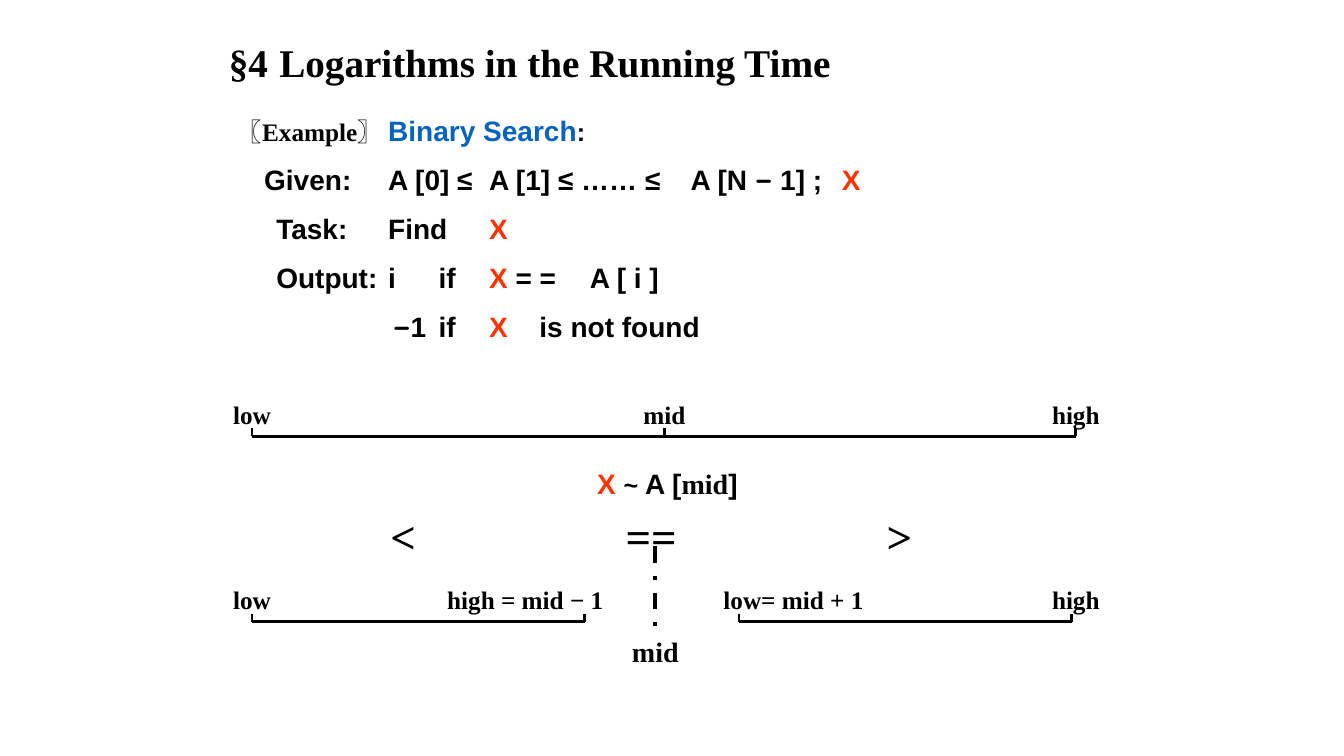
from lxml.etree import SubElement
from pptx import Presentation
from pptx.dml.color import RGBColor
from pptx.enum.dml import MSO_LINE
from pptx.enum.shapes import MSO_CONNECTOR
from pptx.enum.text import MSO_ANCHOR, MSO_AUTO_SIZE, PP_ALIGN
from pptx.oxml.ns import qn
from pptx.util import Inches, Pt

SERIF, SANS, SYMBOL = "Times New Roman", "Arial", "Quicksand"
BLACK, RED, BLUE = "000000", "FF3300", "0563C1"
X = ("X", {"color": RED})
MINUS = ("−", {"name": SYMBOL})

# Each line: first-line indent, tab stops (inches from the text edge), runs
EXAMPLE_LINES = [
    (0, [1.68], [("〖Example〗", {"name": SERIF, "size": 18}),
                 ("\tBinary Search", {"color": BLUE}), (":", {"size": 18})]),
    (0.27, [1.44, 2.42, 4.27, 5.73],
     [("Given:\tA [0] ≤\tA [1] ≤ …… ≤\tA [N ", {}), MINUS, (" 1] ;\t", {}), X]),
    (0.39, [1.55, 2.3], [("Task:\tFind\t", {}), X]),
    (0.39, [1.62, 2.16, 2.49, 3.3],
     [("Output:\ti\tif\t", {}), X, (" = =\tA [ i ]", {})]),
    (1.55, [2.18, 2.51, 2.85],
     [MINUS, ("1\tif\t", {}), X, ("\tis not found", {})]),
]


def rgb(color):
    return RGBColor.from_string(color)


def style_font(font, name=None, size=None, color=None):
    if name:
        font.name = name
    if size:
        font.size = Pt(size)
    if color:
        font.color.rgb = rgb(color)


def place(shape, left, top, width, height):
    shape.left, shape.top = Inches(left), Inches(top)
    shape.width, shape.height = Inches(width), Inches(height)


def set_indent_and_tabs(paragraph, indent, stops):
    """Remove the bullet, indent the first line and add left tab stops."""
    properties = paragraph._p.get_or_add_pPr()
    properties.set("marL", "0")
    properties.set("indent", str(Inches(indent)))
    SubElement(properties, qn("a:buNone"))
    tab_list = SubElement(properties, qn("a:tabLst"))
    for stop in stops:
        SubElement(tab_list, qn("a:tab"), pos=str(Inches(stop)), algn="l")


def write_runs(paragraph, runs, name, size):
    """Style the paragraph, then add (text, font changes) runs."""
    paragraph.font.bold = True
    style_font(paragraph.font, name, size, BLACK)
    for text, changes in runs:
        run = paragraph.add_run()
        run.text = text
        style_font(run.font, **changes)


def prepare_frame(shape):
    frame = shape.text_frame
    frame.word_wrap = True
    frame.auto_size = MSO_AUTO_SIZE.NONE
    frame.vertical_anchor = MSO_ANCHOR.TOP
    return frame


def add_title(slide, left, top, width, height):
    title = slide.shapes.title
    place(title, left, top, width, height)
    paragraph = prepare_frame(title).paragraphs[0]
    paragraph.alignment = PP_ALIGN.LEFT
    paragraph.space_before = Pt(0)
    set_indent_and_tabs(paragraph, 0, [0.68])
    write_runs(paragraph, [("§4\tLogarithms in the Running Time", {})], SERIF, 28)


def add_example(slide, left, top, width, height):
    body = slide.placeholders[1]
    place(body, left, top, width, height)
    frame = prepare_frame(body)
    for index, (indent, stops, runs) in enumerate(EXAMPLE_LINES):
        paragraph = frame.add_paragraph() if index else frame.paragraphs[0]
        paragraph.space_before = Pt(11 if index else 0)
        set_indent_and_tabs(paragraph, indent, stops)
        write_runs(paragraph, runs, SANS, 20)


def add_label(shapes, center, top, runs, width=1, height=0.4, name=SERIF, size=18):
    label = shapes.add_textbox(Inches(center - width / 2), Inches(top),
                               Inches(width), Inches(height))
    frame = prepare_frame(label)
    frame.margin_left = frame.margin_right = 0
    paragraph = frame.paragraphs[0]
    paragraph.alignment = PP_ALIGN.CENTER
    write_runs(paragraph, runs, name, size)


def add_line(shapes, start_x, start_y, end_x, end_y, width=2):
    line = shapes.add_connector(MSO_CONNECTOR.STRAIGHT, Inches(start_x),
                                Inches(start_y), Inches(end_x), Inches(end_y))
    line.line.color.rgb = rgb(BLACK)
    line.line.width = Pt(width)
    SubElement(line._element.spPr, qn("a:effectLst"))
    return line


def add_range(slide, left, right, y, ticks):
    """Draw an index range; ticks are (tick x, label center, label)."""
    shapes = slide.shapes.add_group_shape().shapes
    add_line(shapes, left, y, right, y)
    for tick, center, text in ticks:
        add_line(shapes, tick, y, tick, y - 0.08)
        add_label(shapes, center, y - 0.42, [(text, {})], width=2.08)


def add_comparison(slide, left, top, width):
    """Place the test, its three outcomes and the line down to mid."""
    shapes = slide.shapes
    middle = left + width / 2
    add_label(shapes, middle + 0.16, top,
              [X, (" ", {}), ("~", {"size": 18}), (" A [", {}),
               ("mid", {"name": SERIF}), ("]", {})],
              width=3.75, height=0.43, name=SANS, size=20)
    for center, sign in ((left, "<"), (left + width, ">"), (middle, "==")):
        add_label(shapes, center, top + 0.42, [(sign, {})], height=0.63, size=32)
    found = middle + 0.04
    pointer = add_line(shapes, found, top + 0.84, found, top + 1.67, width=3)
    pointer.line.dash_style = MSO_LINE.DASH_DOT
    add_label(shapes, found, top + 1.67, [("mid", {})], height=0.43, size=20)


def main():
    presentation = Presentation()
    presentation.slide_width = Inches(13.33)
    presentation.slide_height = Inches(7.5)
    slide = presentation.slides.add_slide(presentation.slide_layouts[1])
    add_title(slide, 2.17, 0.33, 7.17, 0.57)
    add_example(slide, 2.25, 1.08, 6.58, 2.43)
    add_range(slide, 2.5, 10.67, 4.33, [
        (2.5, 2.5, "low"), (6.59, 6.59, "mid"), (10.67, 10.67, "high")])
    add_range(slide, 2.5, 5.8, 6.17, [
        (2.5, 2.5, "low"), (5.8, 5.21, "high = mid − 1")])
    add_range(slide, 7.33, 10.63, 6.17, [
        (7.33, 7.87, "low= mid + 1"), (10.63, 10.67, "high")])
    add_comparison(slide, 4, 4.58, 4.92)
    presentation.save("out.pptx")


if __name__ == "__main__":
    main()
